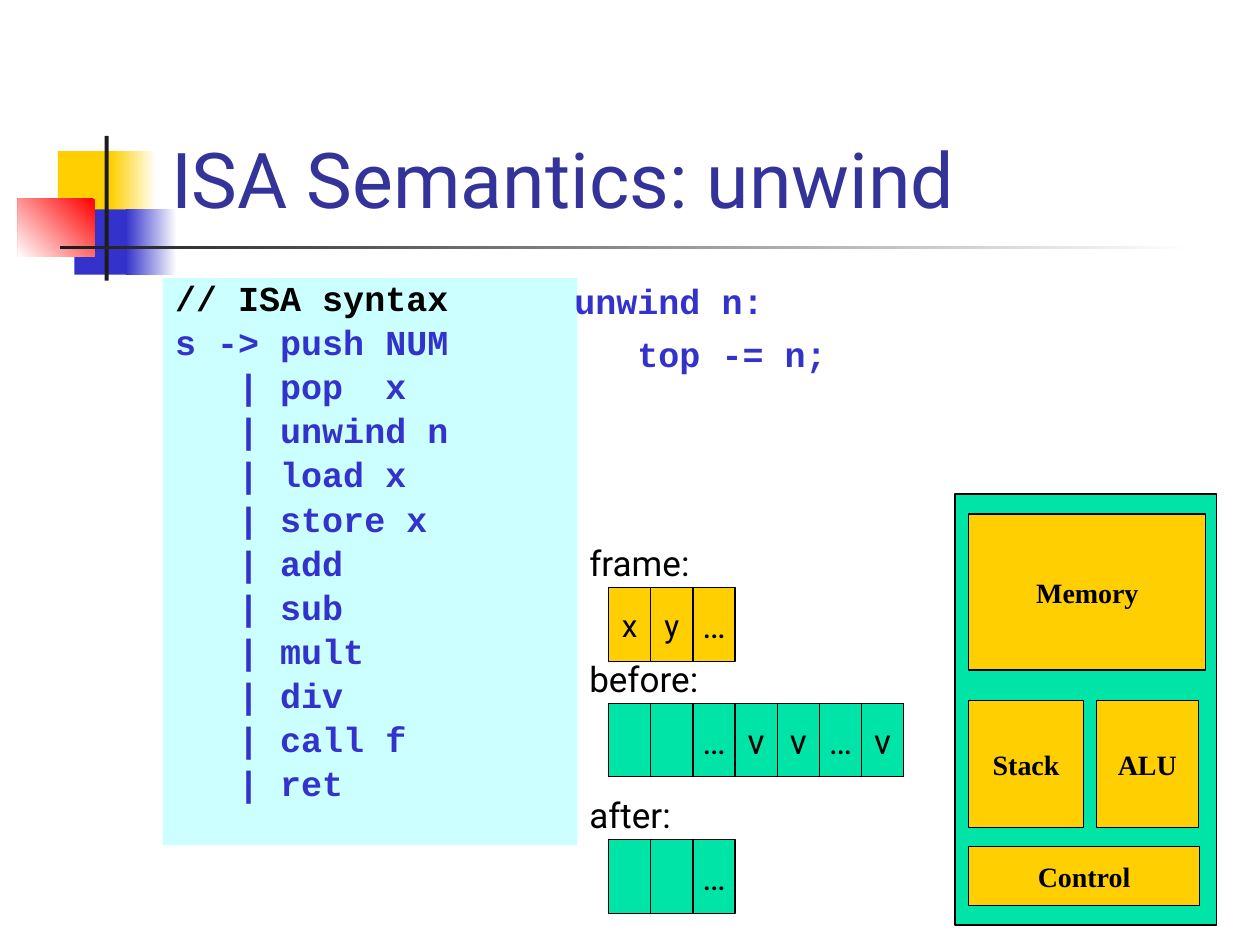
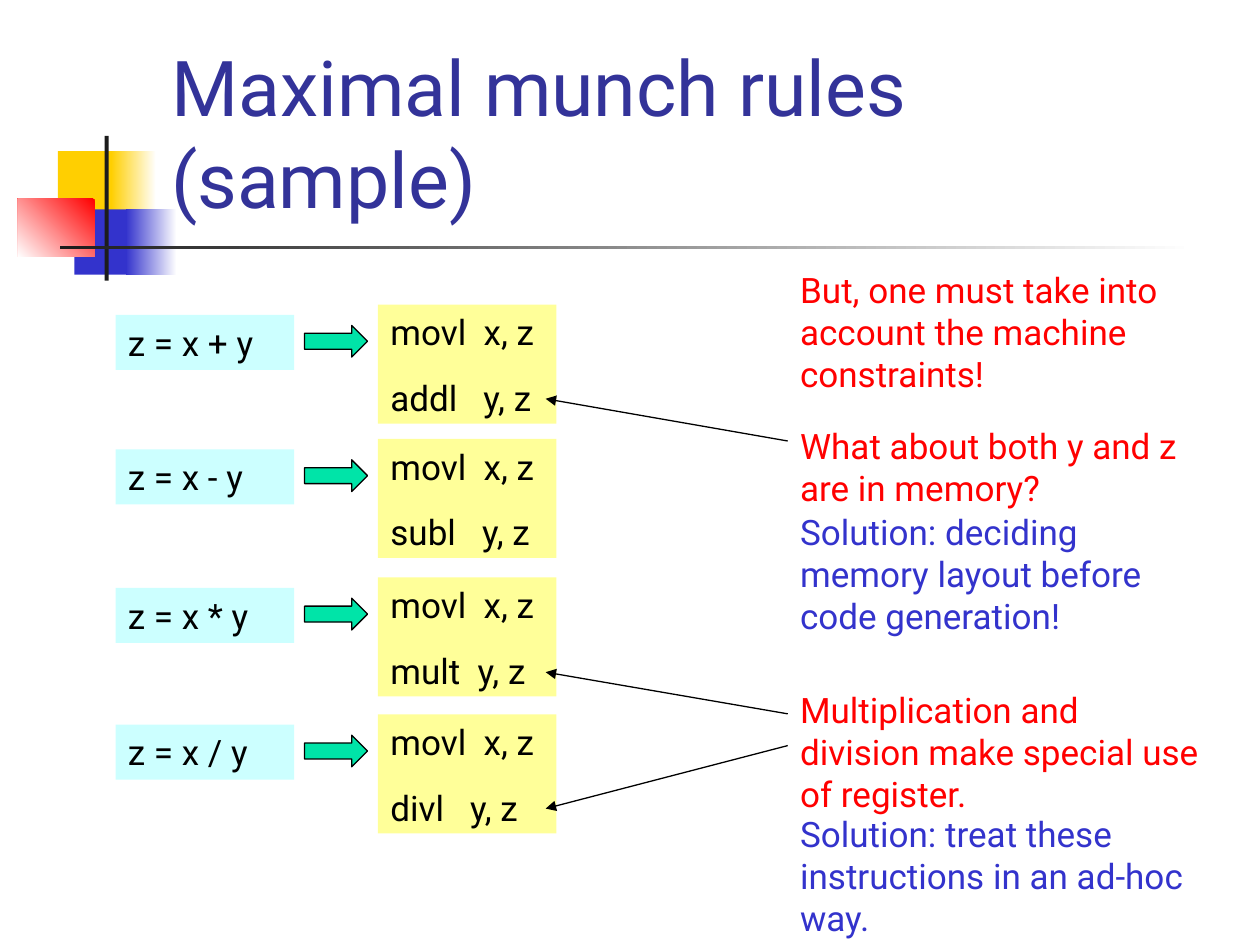
from lxml import etree
from pptx import Presentation
from pptx.dml.color import RGBColor
from pptx.enum.shapes import MSO_CONNECTOR, MSO_SHAPE
from pptx.enum.text import MSO_ANCHOR, PP_ALIGN
from pptx.oxml.ns import qn
from pptx.util import Cm, Pt

BLACK = RGBColor(0x00, 0x00, 0x00)
WHITE = RGBColor(0xFF, 0xFF, 0xFF)
INK = RGBColor(0x1C, 0x1C, 0x1C)
GOLD = RGBColor(0xFF, 0xCF, 0x01)
BLUE = RGBColor(0x33, 0x33, 0xCC)
NAVY = RGBColor(0x33, 0x33, 0x99)
RED = RGBColor(0xFF, 0x00, 0x00)
GREEN = RGBColor(0x00, 0xE4, 0xA8)
CYAN = RGBColor(0xCC, 0xFF, 0xFF)
CREAM = RGBColor(0xFF, 0xFF, 0x99)

SANS, MONO, SERIF = "Roboto", "Courier New", "Times New Roman"

DECOR = [
    ((1.17, 3.05, 1.22, 1.32), GOLD),
    ((2.24, 3.05, 0.91, 1.32), (WHITE, GOLD, 180)),
    ((1.5, 4.22, 1.17, 1.32), BLUE),
    ((2.54, 4.22, 1.02, 1.32), (WHITE, BLUE, 180)),
    ((0.36, 4.01, 1.55, 1.17), (RED, WHITE, 225)),
    ((2.11, 2.74, 0.08, 2.92), INK),
    ((1.22, 4.95, 22.86, 0.08), (WHITE, INK, 180)),
]

SYNTAX = [
    "// ISA syntax",
    "s -> push NUM",
    "   | pop  x",
    "   | unwind n",
    "   | load x",
    "   | store x",
    "   | add",
    "   | sub",
    "   | mult",
    "   | div",
    "   | call f",
    "   | ret",
]
UNWIND = ["unwind n:", "   top -= n;"]

UNITS = [
    ("Memory", (19.53, 10.36, 4.78, 3.15)),
    ("Stack", (19.53, 14.12, 2.31, 2.57)),
    ("ALU", (22.1, 14.12, 2.06, 2.57)),
    ("Control", (19.53, 17.07, 4.65, 1.19)),
]

STATES = [
    ("frame:", 10.8, GOLD, 18, ["x", "y", "…"]),
    ("before:", 13.13, GREEN, 20, ["", "", "…", "v", "v", "…", "v"]),
    ("after:", 15.88, GREEN, 20, ["", "", "…"]),
]

RULES = [
    (6.35, "z = x + y", ["movl  x, z", "addl   y, z"]),
    (9.06, "z = x - y", ["movl  x, z", "subl   y, z"]),
    (11.85, "z = x * y", ["movl  x, z", "mult  y, z"]),
    (14.61, "z = x / y", ["movl  x, z", "divl   y, z"]),
]

NOTES = [
    (5.29, 2.79, RED, "But, one must take into account the machine constraints!"),
    (8.44, 1.96, RED, "What about both y and z are in memory?"),
    (10.16, 2.79, BLUE, "Solution: deciding memory layout before code generation!"),
    (13.76, 2.79, RED, "Multiplication and division make special use of register."),
    (16.26, 2.79, BLUE, "Solution: treat these instructions in an ad-hoc way."),
]
LINKS = [(8.89, 8.04), (14.39, 13.55), (15.03, 16.3)]


def shape(slide, box, fill, line=False, kind=MSO_SHAPE.RECTANGLE):
    item = slide.shapes.add_shape(kind, *map(Cm, box))
    item.shadow.inherit = False
    if isinstance(fill, tuple) and not isinstance(fill, RGBColor):
        first, last, turn = fill
        item.fill.gradient()
        item.fill.gradient_angle = turn
        for stop, tone in zip(item.fill.gradient_stops, (first, last)):
            stop.color.rgb = tone
    else:
        item.fill.solid()
        item.fill.fore_color.rgb = fill
    if line:
        item.line.color.rgb = BLACK
        item.line.width = Pt(0.75)
    else:
        item.line.fill.background()
    return item


def write(item, lines, size=20, face=SANS, tone=BLACK, bold=False, gap=0,
          pitch=None, align=PP_ALIGN.LEFT, anchor=MSO_ANCHOR.TOP, wrap=True):
    frame = item.text_frame
    frame.word_wrap = wrap
    frame.vertical_anchor = anchor
    for i, line in enumerate(lines):
        para = frame.add_paragraph() if i else frame.paragraphs[0]
        para.text = line
        para.alignment = align
        if i:
            para.space_before = Pt(gap)
        if pitch:
            para.line_spacing = pitch
        font = para.font
        font.size, font.name, font.bold = Pt(size), face, bold
        font.color.rgb = tone
    return frame


def text(slide, box, lines, **style):
    return write(slide.shapes.add_textbox(*map(Cm, box)), lines, **style)


def label(slide, box, fill, word, **style):
    item = shape(slide, box, fill, line=True)
    if word:
        write(item, [word], align=PP_ALIGN.CENTER, anchor=MSO_ANCHOR.MIDDLE,
              wrap=False, **style)


def arrow(slide, start, end):
    link = slide.shapes.add_connector(
        MSO_CONNECTOR.STRAIGHT, *map(Cm, start + end))
    link.line.color.rgb = BLACK
    link.line.width = Pt(0.75)
    tip = etree.SubElement(link.line._get_or_add_ln(), qn("a:tailEnd"))
    tip.set("type", "triangle")
    etree.SubElement(link._element.spPr, qn("a:effectLst"))


def start(deck, title):
    slide = deck.slides.add_slide(deck.slide_layouts[6])
    for box, fill in DECOR:
        shape(slide, box, fill)
    text(slide, (3.2, 0.58, 21.6, 4.06), [title], size=44, tone=NAVY,
         anchor=MSO_ANCHOR.BOTTOM)
    return slide


def unwind(deck):
    slide = start(deck, "ISA Semantics: unwind")
    code = dict(face=MONO, tone=BLUE, bold=True, gap=6)
    panel = shape(slide, (3.28, 5.61, 8.36, 11.43), CYAN)
    frame = write(panel, SYNTAX, pitch=0.8, **code)
    frame.paragraphs[0].font.color.rgb = BLACK

    shape(slide, (19.25, 9.96, 5.28, 8.69), GREEN, line=True)
    for word, box in UNITS:
        label(slide, box, GOLD, word, size=16, face=SERIF, bold=True)

    text(slide, (11.33, 5.51, 13.44, 7.42), UNWIND, **code)
    for name, top, fill, size, cells in STATES:
        text(slide, (11.63, top, 5.08, 1.11), [name])
        for i, word in enumerate(cells):
            box = (12.27 + 0.85 * i, top + 1.05, 0.85, 1.48)
            label(slide, box, fill, word, size=20 if word == "…" else size)


def munch(deck):
    slide = start(deck, "Maximal munch rules (sample)")
    for top, source, code in RULES:
        write(shape(slide, (2.33, top, 3.6, 1.11), CYAN), [source])
        write(shape(slide, (7.62, top - 0.21, 3.6, 2.4), CREAM), code, gap=13.5)
        shape(slide, (6.14, top + 0.21, 1.27, 0.64), GREEN, line=True,
              kind=MSO_SHAPE.RIGHT_ARROW)
    for top, tall, tone, note in NOTES:
        text(slide, (15.88, top, 8.68, tall), [note], tone=tone)
    for near, far in LINKS:
        arrow(slide, (15.88, near), (11, far))


def main():
    deck = Presentation()
    deck.slide_width, deck.slide_height = Cm(25.4), Cm(19.05)
    unwind(deck)
    munch(deck)
    deck.save("out.pptx")


if __name__ == "__main__":
    main()
